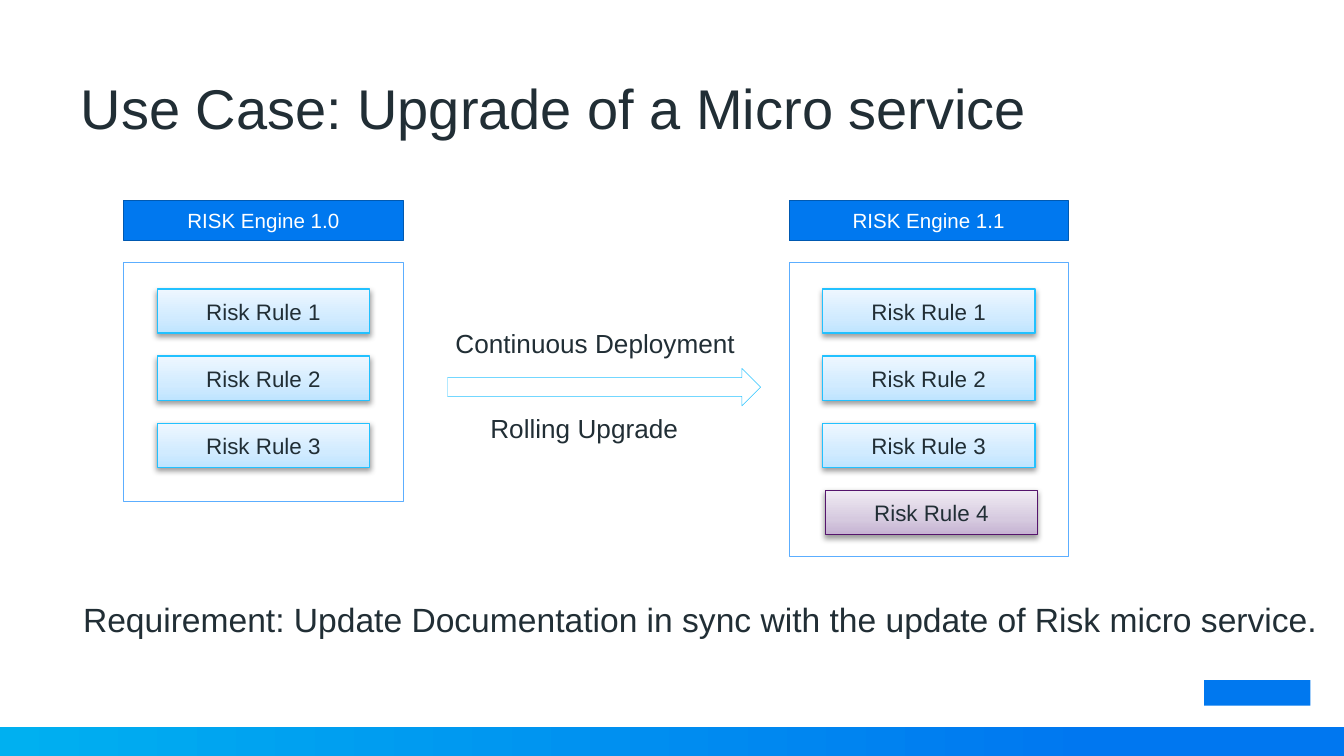
"""Build the slide on upgrading a micro service from engine 1.0 to 1.1."""
from dataclasses import dataclass
from typing import NamedTuple, Optional

import lxml.etree
import pptx
import pptx.dml.color
import pptx.enum.shapes
import pptx.enum.text
import pptx.oxml.ns
import pptx.util

COLUMNS, ROWS = 20, 11.25
SLIDE_WIDTH = pptx.util.Inches(10)
SLIDE_HEIGHT = pptx.util.Inches(5.625)
PRESET = pptx.enum.shapes.MSO_SHAPE
ALIGN = pptx.enum.text.PP_ALIGN
ANCHOR = pptx.enum.text.MSO_ANCHOR


class Area(NamedTuple):
    column: float
    row: float
    columns: float
    rows: float

    def emu(self) -> list[int]:
        cell_width, cell_height = SLIDE_WIDTH / COLUMNS, SLIDE_HEIGHT / ROWS
        return [round(self.column * cell_width), round(self.row * cell_height),
                round(self.columns * cell_width), round(self.rows * cell_height)]


class Stop(NamedTuple):
    percent: int
    color: str


class Style(NamedTuple):
    fill: tuple[Stop, ...]
    line: Optional[str] = None
    line_width: float = 0.25
    angle: int = 0
    shadow: bool = False


@dataclass(frozen=True)
class Theme:
    font: str = "Arial"
    ink: str = "212E35"
    paper: str = "FFFFFF"
    title_size: int = 30
    requirement_size: int = 18
    step_size: int = 14
    rule_size: int = 12
    engine_size: int = 11
    header: Style = Style((Stop(0, "0078EF"),), "0059B1")
    panel: Style = Style((Stop(0, "FFFFFF"),), "5CAEFF")
    arrow: Style = Style((Stop(0, "FFFFFF"),), "28C3FF")
    mark: Style = Style((Stop(0, "0078EF"),))
    band: Style = Style((Stop(0, "00B0F0"), Stop(82, "0077F0")))
    rule: Style = Style((Stop(0, "BEE4FF"), Stop(35, "D1EBFF"), Stop(100, "EEF7FF")),
                        "22C1FF", 0.75, 90, True)
    new_rule: Style = Style((Stop(0, "C5B2D2"), Stop(35, "D6CADF"), Stop(100, "F0EBF3")),
                            "55146C", 0.75, 90, True)


THEME = Theme()


@dataclass(frozen=True)
class Engine:
    name: str
    column: float
    panel_rows: float
    rules: int
    added_rules: int = 0


ENGINES = (Engine("RISK Engine 1.0", 1.84, 3.56, 3),
           Engine("RISK Engine 1.1", 11.74, 4.38, 3, 1))
ENGINE_COLUMNS = 4.16
RULE_COLUMNS, RULE_ROWS = 3.16, 0.66
FIRST_RULE_ROW = 4.3


def rgb(color: str) -> pptx.dml.color.RGBColor:
    return pptx.dml.color.RGBColor.from_string(color)


def write(frame, text: str, *, size: int, color: str = THEME.ink,
          align=ALIGN.LEFT, anchor=ANCHOR.MIDDLE, wrap: bool = True) -> None:
    frame.word_wrap = wrap
    frame.auto_size = pptx.enum.text.MSO_AUTO_SIZE.NONE
    frame.vertical_anchor = anchor
    paragraph = frame.paragraphs[0]
    paragraph.alignment = align
    run = paragraph.add_run()
    run.text = text
    run.font.name = THEME.font
    run.font.size = pptx.util.Pt(size)
    run.font.color.rgb = rgb(color)


def add_xml(parent, tag: str, **attributes):
    return lxml.etree.SubElement(parent, pptx.oxml.ns.qn(tag), attributes)


def fill_gradient(shape, style: Style) -> None:
    shape.fill.gradient()
    shape.fill.gradient_angle = style.angle
    stops = shape.element.spPr.find(".//" + pptx.oxml.ns.qn("a:gsLst"))
    for default in list(stops):
        stops.remove(default)
    for stop in style.fill:
        entry = add_xml(stops, "a:gs", pos=str(stop.percent * 1000))
        add_xml(entry, "a:srgbClr", val=stop.color)


def cast_shadow(shape) -> None:
    effects = shape.element.spPr.find(pptx.oxml.ns.qn("a:effectLst"))
    shadow = add_xml(effects, "a:outerShdw", blurRad=str(pptx.util.Pt(3.1)),
                     dist=str(pptx.util.Pt(1.6)), dir="5400000", rotWithShape="0")
    color = add_xml(shadow, "a:srgbClr", val="000000")
    add_xml(color, "a:alpha", val="38000")


def draw(slide, preset, area: Area, style: Style):
    shape = slide.shapes.add_shape(preset, *area.emu())
    shape.shadow.inherit = False
    if len(style.fill) > 1:
        fill_gradient(shape, style)
    else:
        shape.fill.solid()
        shape.fill.fore_color.rgb = rgb(style.fill[0].color)
    if style.line:
        shape.line.color.rgb = rgb(style.line)
        shape.line.width = pptx.util.Pt(style.line_width)
    else:
        shape.line.fill.background()
    if style.shadow:
        cast_shadow(shape)
    return shape


def draw_engine(slide, engine: Engine) -> None:
    draw(slide, PRESET.FLOWCHART_PROCESS,
         Area(engine.column, 3.9, ENGINE_COLUMNS, engine.panel_rows), THEME.panel)
    header = draw(slide, PRESET.FLOWCHART_PROCESS,
                  Area(engine.column, 2.98, ENGINE_COLUMNS, 0.6), THEME.header)
    write(header.text_frame, engine.name, size=THEME.engine_size,
          color=THEME.paper, align=ALIGN.CENTER)
    inset = (ENGINE_COLUMNS - RULE_COLUMNS) / 2
    for index in range(engine.rules + engine.added_rules):
        added = index >= engine.rules
        area = Area(engine.column + inset + (0.04 if added else 0),
                    FIRST_RULE_ROW + index, RULE_COLUMNS, RULE_ROWS)
        rule = draw(slide, PRESET.RECTANGLE, area, THEME.new_rule if added else THEME.rule)
        write(rule.text_frame, f"Risk Rule {index + 1}",
              size=THEME.rule_size, align=ALIGN.CENTER)


def label(slide, text: str, area: Area, size: int) -> None:
    caption = slide.shapes.add_textbox(*area.emu())
    write(caption.text_frame, text, size=size, anchor=ANCHOR.TOP, wrap=False)


def main() -> None:
    deck = pptx.Presentation()
    deck.slide_width, deck.slide_height = SLIDE_WIDTH, SLIDE_HEIGHT
    slide = deck.slides.add_slide(deck.slide_layouts[5])

    title = slide.shapes.title
    title.left, title.top, title.width, title.height = Area(1, 0.62, 18, 1.94).emu()
    write(title.text_frame, "Use Case: Upgrade of a Micro service", size=THEME.title_size)

    draw(slide, PRESET.RECTANGLE, Area(0, 10.82, COLUMNS, 0.43), THEME.band)
    draw(slide, PRESET.RECTANGLE, Area(17.92, 10.12, 1.58, 0.38), THEME.mark)
    for engine in ENGINES:
        draw_engine(slide, engine)

    draw(slide, PRESET.RIGHT_ARROW, Area(6.66, 5.48, 4.66, 0.56), THEME.arrow)
    label(slide, "Continuous Deployment", Area(6.58, 4.78, 4.58, 0.68), THEME.step_size)
    label(slide, "Rolling Upgrade", Area(7.1, 6.04, 3.22, 0.68), THEME.step_size)
    label(slide, "Requirement: Update Documentation in sync with the update of Risk micro service.",
          Area(1.04, 8.82, 18.8, 0.8), THEME.requirement_size)
    deck.save("out.pptx")


if __name__ == "__main__":
    main()
